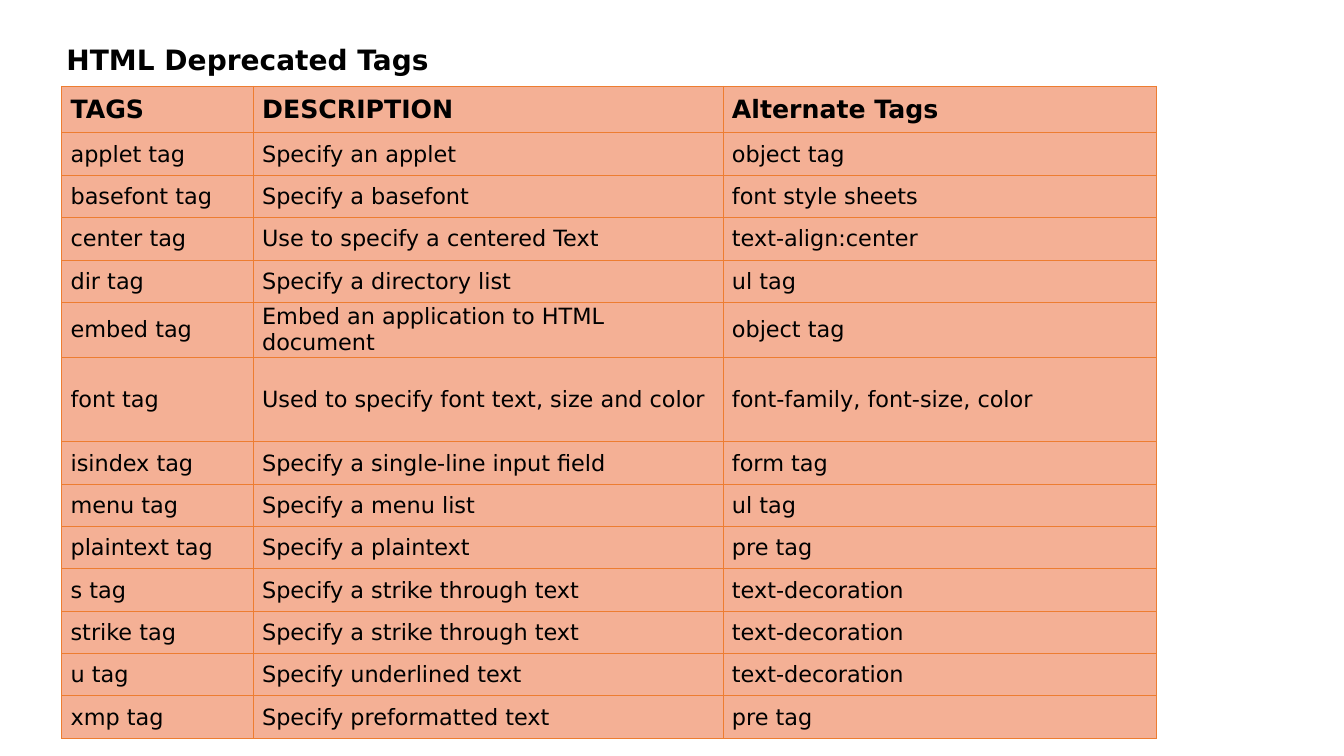
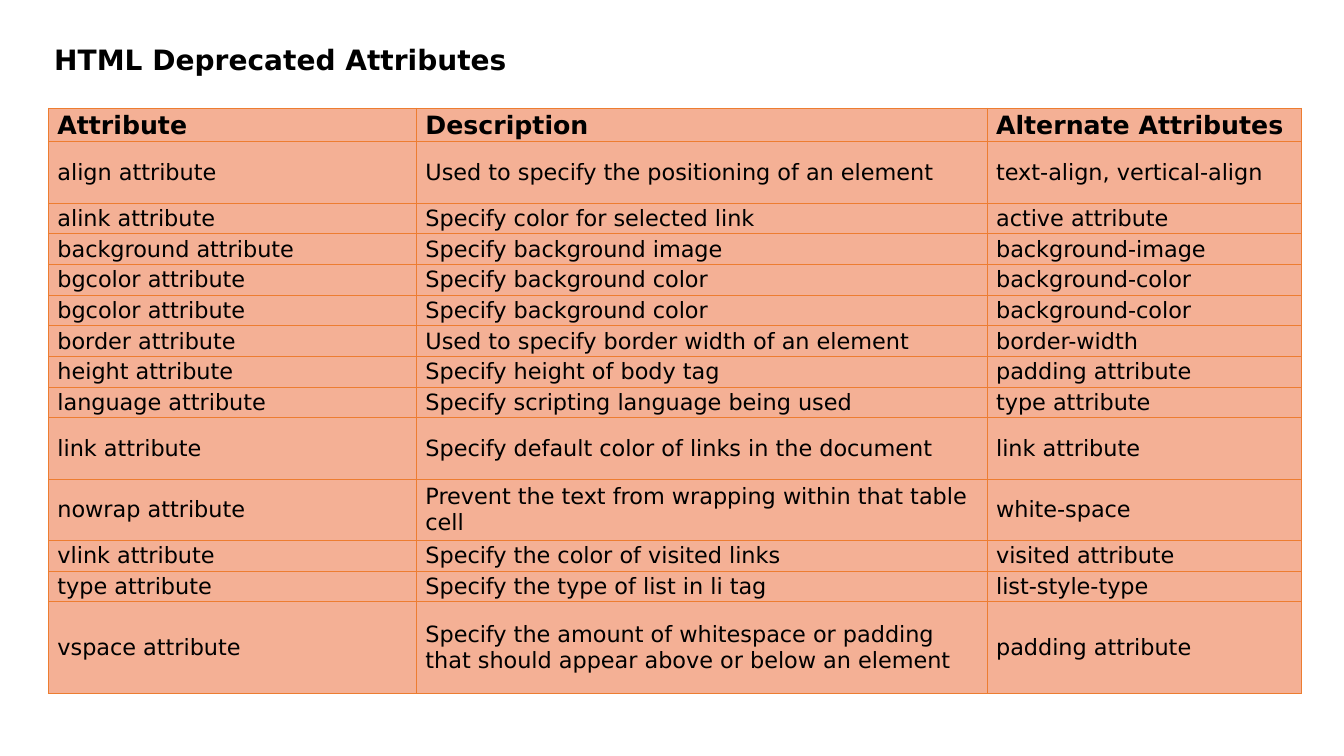
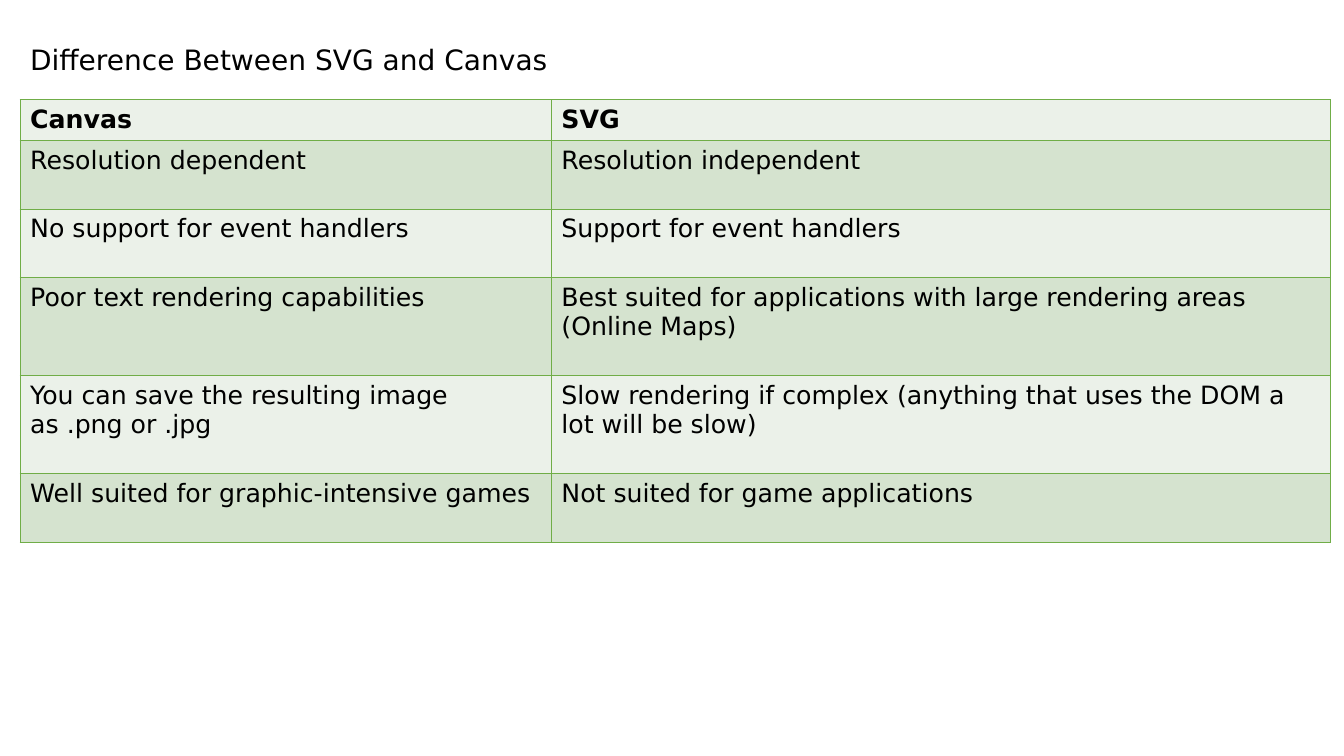
from lxml import etree
from pptx import Presentation
from pptx.dml.color import RGBColor
from pptx.enum.text import MSO_ANCHOR
from pptx.oxml.ns import qn
from pptx.util import Inches, Pt

MIDDLE, TOP = MSO_ANCHOR.MIDDLE, MSO_ANCHOR.TOP
BLACK = RGBColor(0x00, 0x00, 0x00)
ORANGE = RGBColor(0xED, 0x7D, 0x31)
PEACH = RGBColor(0xF4, 0xB0, 0x95)
GREEN = RGBColor(0x70, 0xAD, 0x47)
PALE_GREEN = RGBColor(0xEB, 0xF1, 0xE9)
SOFT_GREEN = RGBColor(0xD5, 0xE3, 0xCF)
FONT = "DejaVu Sans"
TITLE_SIZE, HEAD_SIZE = 20, 18
TITLE_TOP, TITLE_HEIGHT, TITLE_RIGHT = 5.33, 5.6, 99
TIGHT = [Inches(n) for n in (0.09, 0.01, 0.01, 0)]
ROOMY = [Inches(n) for n in (0.1, 0.05, 0.1, 0.05)]


class Deck:
    """Holds the shared style and the current slide; lengths are percent of the slide."""

    def __init__(self):
        self.prs = Presentation()
        self.prs.slide_width, self.prs.slide_height = Inches(13.33), Inches(7.5)
        self.s = None

    def x(self, share):
        return round(self.prs.slide_width * share / 100)

    def y(self, share):
        return round(self.prs.slide_height * share / 100)

    def set_text(self, tf, text, size, bold):
        tf.text = text
        tf.word_wrap = True
        for r in tf.paragraphs[0].runs:
            r.font.name, r.font.size, r.font.bold = FONT, Pt(size), bold
            r.font.color.rgb = BLACK

    def slide(self, title, left, bold=True):
        self.s = self.prs.slides.add_slide(self.prs.slide_layouts[6])
        sp = self.s.shapes.add_textbox(self.x(left), self.y(TITLE_TOP),
                                       self.x(TITLE_RIGHT - left), self.y(TITLE_HEIGHT))
        tf = sp.text_frame
        self.set_text(tf, title, TITLE_SIZE, bold)
        tf.vertical_anchor = MIDDLE
        tf.paragraphs[0].line_spacing = 0.9

    def border(self, cell, color, width):
        tc_pr = cell._tc.get_or_add_tcPr()
        for side in ("a:lnL", "a:lnR", "a:lnT", "a:lnB"):
            ln = etree.SubElement(tc_pr, qn(side), w=str(Pt(width)))
            fill = etree.SubElement(ln, qn("a:solidFill"))
            etree.SubElement(fill, qn("a:srgbClr"), val=str(color))

    def table(self, box, columns, heights, rows, fills, line, line_width,
              body_size, margins, anchor):
        left, top, width, height = box
        table = self.s.shapes.add_table(len(rows), len(columns), self.x(left), self.y(top),
                                        self.x(width), self.y(height)).table
        table.first_row = table.horz_banding = False
        for column, weight in zip(table.columns, columns):
            column.width = self.x(width * weight / sum(columns))
        for row, weight in zip(table.rows, heights):
            row.height = self.y(height * weight / sum(heights))
        for i, texts in enumerate(rows):
            for j, text in enumerate(texts):
                cell = table.cell(i, j)
                self.set_text(cell.text_frame, text, body_size if i else HEAD_SIZE, i == 0)
                (cell.margin_left, cell.margin_top,
                 cell.margin_right, cell.margin_bottom) = margins
                cell.vertical_anchor = anchor
                self.border(cell, line, line_width)
                cell.fill.solid()
                cell.fill.fore_color.rgb = fills[i % len(fills)]

    def peach_table(self, box, columns, heights, rows):
        self.table(box, columns, heights, rows, [PEACH], ORANGE, 0.5, 16, TIGHT, MIDDLE)

    def green_table(self, box, columns, heights, rows):
        self.table(box, columns, heights, rows, [PALE_GREEN, SOFT_GREEN], GREEN, 1, 18,
                   ROOMY, TOP)


TAGS = [
    ("TAGS", "DESCRIPTION", "Alternate Tags"),
    ("applet tag", "Specify an applet", "object tag"),
    ("basefont tag", "Specify a basefont", "font style sheets"),
    ("center tag", "Use to specify a centered Text", "text-align:center"),
    ("dir tag", "Specify a directory list", "ul tag"),
    ("embed tag", "Embed an application to HTML document", "object tag"),
    ("font tag", "Used to specify font text, size and color", "font-family, font-size, color"),
    ("isindex tag", "Specify a single-line input field", "form tag"),
    ("menu tag", "Specify a menu list", "ul tag"),
    ("plaintext tag", "Specify a plaintext", "pre tag"),
    ("s tag", "Specify a strike through text", "text-decoration"),
    ("strike tag", "Specify a strike through text", "text-decoration"),
    ("u tag", "Specify underlined text", "text-decoration"),
    ("xmp tag", "Specify preformatted text", "pre tag"),
]
ATTRIBUTES = [
    ("Attribute", "Description", "Alternate Attributes"),
    ("align attribute", "Used to specify the positioning of an element",
     "text-align, vertical-align"),
    ("alink attribute", "Specify color for selected link", "active attribute"),
    ("background attribute", "Specify background image", "background-image"),
    ("bgcolor attribute", "Specify background color", "background-color"),
    ("bgcolor attribute", "Specify background color", "background-color"),
    ("border attribute", "Used to specify border width of an element", "border-width"),
    ("height attribute", "Specify height of body tag", "padding attribute"),
    ("language attribute", "Specify scripting language being used", "type attribute"),
    ("link attribute", "Specify default color of links in the document", "link attribute"),
    ("nowrap attribute", "Prevent the text from wrapping within that table cell",
     "white-space"),
    ("vlink attribute", "Specify the color of visited links", "visited attribute"),
    ("type attribute", "Specify the type of list in li tag", "list-style-type"),
    ("vspace attribute", "Specify the amount of whitespace or padding that should appear "
     "above or below an element", "padding attribute"),
]
DIFFERENCES = [
    ("Canvas", "SVG"),
    ("Resolution dependent", "Resolution independent"),
    ("No support for event handlers", "Support for event handlers"),
    ("Poor text rendering capabilities",
     "Best suited for applications with large rendering areas (Online Maps)"),
    ("You can save the resulting image as\u00a0.png or .jpg",
     "Slow rendering if complex (anything that uses the DOM a lot will be slow)"),
    ("Well suited for graphic-intensive games", "Not suited for game applications"),
]

deck = Deck()

deck.slide("HTML Deprecated Tags", 4.2)
deck.peach_table((4.58, 11.4, 81.47, 86), (1.9, 4.66, 4.3),
                 [1.1] + [1] * 4 + [1.25, 2] + [1] * 7, TAGS)

deck.slide("HTML Deprecated Attributes", 3.3)
deck.peach_table((3.6, 14.3, 93.25, 77.47), (3.65, 5.66, 3.12),
                 [1.1, 2] + [1] * 7 + [2, 2, 1, 1, 3], ATTRIBUTES)

deck.slide("Difference Between SVG and Canvas", 1.5, bold=False)
deck.green_table((1.5, 13.2, 97.5, 58.53), (5.27, 7.73),
                 [0.6, 1, 1, 1.43, 1.43, 1], DIFFERENCES)

deck.prs.save("out.pptx")
